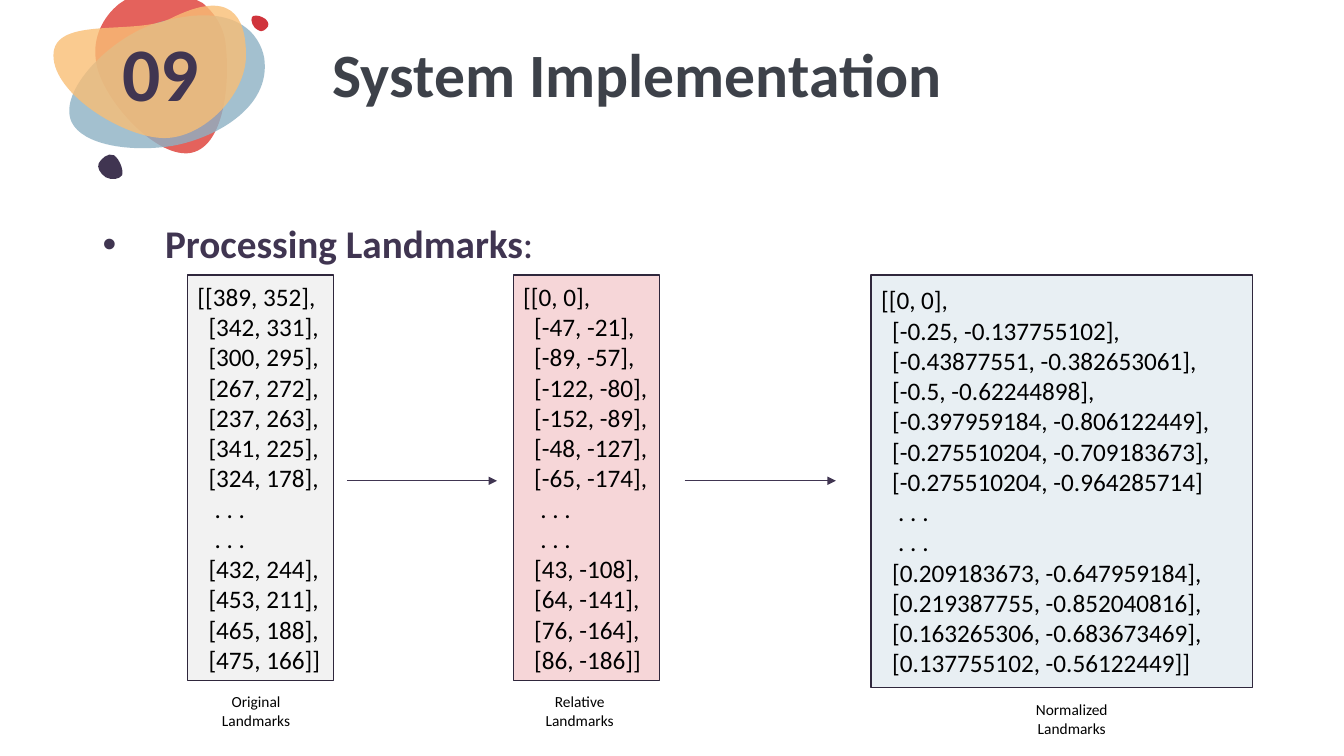
import pptx
import pptx.util
import pptx.dml.color
import pptx.enum.shapes
import pptx.enum.text
import pptx.oxml
import pptx.oxml.ns
from dataclasses import dataclass
from lxml import etree
from pptx.util import Inches


@dataclass(frozen=True)
class Theme:
    font: str = "Calibri"
    title: str = "3D4149"
    accent: str = "403551"
    text: str = "000000"
    border: str = "2F273C"
    coral: str = "E4625C"
    blue: str = "8DB1C4"
    amber: str = "F9BE75"
    red: str = "D0343C"
    grey_panel: str = "F2F2F2"
    pink_panel: str = "F6D6D8"
    blue_panel: str = "E8EFF3"
    title_size: int = 44
    number_size: int = 54
    heading_size: int = 28
    data_size: int = 18
    caption_size: int = 11


theme = Theme()
rgb = pptx.dml.color.RGBColor.from_string
qn = pptx.oxml.ns.qn
align = pptx.enum.text.PP_ALIGN
anchor = pptx.enum.text.MSO_ANCHOR

presentation = pptx.Presentation()
presentation.slide_width = Inches(13.33)
presentation.slide_height = Inches(7.5)
slide = presentation.slides.add_slide(presentation.slide_layouts[6])
shapes = slide.shapes


def add_run(paragraph, text, size, color, bold=False):
    run = paragraph.add_run()
    run.text = text
    run.font.name = theme.font
    run.font.size = pptx.util.Pt(size)
    run.font.bold = bold
    run.font.color.rgb = rgb(color)


def add_text_box(left, top, width, height, middle=False, wrap=True):
    frame = shapes.add_textbox(Inches(left), Inches(top), Inches(width), Inches(height)).text_frame
    frame.word_wrap = wrap
    frame.vertical_anchor = anchor.MIDDLE if middle else anchor.TOP
    return frame


blobs = [
    (theme.coral, 100, (0.94, 0, 1.31, 1.52), (1.24, 0), [
        (1.95, 0), (2.01, 0.03),
        (2.14, 0.14, 2.23, 0.29, 2.24, 0.46), (2.28, 0.81, 2.23, 1.48, 1.87, 1.52),
        (1.51, 1.55, 0.98, 0.94, 0.95, 0.59), (0.92, 0.37, 1.02, 0.17, 1.18, 0.04)]),
    (theme.blue, 80, (0.69, 0.15, 1.94, 1.32), (0.71, 1.21), [
        (0.82, 1.44, 1.29, 1.51, 1.69, 1.45), (2.08, 1.39, 2.7, 1.09, 2.62, 0.57),
        (2.58, 0.36, 2.36, -0.01, 1.55, 0.23), (1.1, 0.37, 0.57, 0.9, 0.71, 1.21)]),
    (theme.amber, 80, (0.53, 0.06, 1.91, 1.31), (0.53, 0.55), [
        (0.53, 0.94, 1.24, 1.37, 1.63, 1.37), (2.02, 1.37, 2.44, 0.94, 2.44, 0.55),
        (2.44, 0.15, 2.28, -0.11, 1.7, 0.18), (1.35, 0.36, 0.53, 0.15, 0.53, 0.55)]),
    (theme.accent, 100, (0.97, 1.53, 0.24, 0.24), (1.21, 1.74), [
        (1.23, 1.7, 1.19, 1.58, 1.13, 1.54), (1.07, 1.51, 1, 1.58, 0.98, 1.62),
        (0.96, 1.66, 0.99, 1.72, 1.05, 1.76), (1.11, 1.79, 1.18, 1.78, 1.21, 1.74)]),
    (theme.red, 100, (2.49, 0.15, 0.16, 0.16), (2.5, 0.17), [
        (2.48, 0.2, 2.51, 0.28, 2.56, 0.3), (2.6, 0.33, 2.64, 0.29, 2.66, 0.26),
        (2.67, 0.23, 2.65, 0.19, 2.6, 0.17), (2.56, 0.15, 2.51, 0.15, 2.5, 0.17)]),
]
for color, opacity, box, start, segments in blobs:
    builder = shapes.build_freeform(Inches(start[0]), Inches(start[1]))
    builder.add_line_segments([(Inches(s[-2]), Inches(s[-1])) for s in segments], close=True)
    blob = builder.convert_to_shape()
    blob.left, blob.top, blob.width, blob.height = map(Inches, box)
    outline = next(blob._element.iter(qn("a:path")))
    outline.set("w", str(blob.width))
    outline.set("h", str(blob.height))
    for command, coordinates in zip(list(outline), [start] + segments):
        if len(coordinates) == 6:
            command.tag = qn("a:cubicBezTo")
        for point in list(command):
            command.remove(point)
        for x, y in zip(coordinates[::2], coordinates[1::2]):
            point = etree.SubElement(command, qn("a:pt"))
            point.set("x", str(Inches(x) - blob.left))
            point.set("y", str(Inches(y) - blob.top))
    blob.shadow.inherit = False
    blob.line.fill.background()
    blob.fill.solid()
    blob.fill.fore_color.rgb = rgb(color)
    if opacity < 100:
        fill_color = next(blob._element.spPr.iter(qn("a:srgbClr")))
        etree.SubElement(fill_color, qn("a:alpha")).set("val", str(opacity * 1000))

title = add_text_box(3.2, 0.15, 9.22, 1.24, middle=True).paragraphs[0]
title.line_spacing = 0.9
add_run(title, "System Implementation", theme.title_size, theme.title, True)

heading = add_text_box(0.92, 2.18, 11.5, 0.55).paragraphs[0]
heading.alignment = align.JUSTIFY
add_run(heading, "Processing Landmarks", theme.heading_size, theme.accent, True)
add_run(heading, ":", theme.heading_size, theme.accent)

number = add_text_box(0.96, 0.15, 1.27, 1.23, middle=True).paragraphs[0]
number.alignment = align.CENTER
add_run(number, "09", theme.number_size, theme.accent, True)

for paragraph in (heading, number):
    paragraph.line_spacing = 0.9
    paragraph.space_before = pptx.util.Pt(10)
    paragraph.space_after = pptx.util.Pt(12)

properties = heading._p.get_or_add_pPr()
properties.set("marL", str(Inches(0.62)))
properties.set("indent", str(-Inches(0.62)))
etree.SubElement(properties, qn("a:buFont")).set("typeface", "Arial")
etree.SubElement(properties, qn("a:buChar")).set("char", "•")

panels = [
    (5.09, 1.45, 4.02, theme.pink_panel, [
        "[[0, 0],", "[-47, -21],", "[-89, -57],", "[-122, -80],", "[-152, -89],",
        "[-48, -127],", "[-65, -174],", ". . .", ". . .",
        "[43, -108],", "[64, -141],", "[76, -164],", "[86, -186]]"]),
    (1.86, 1.45, 4.02, theme.grey_panel, [
        "[[389, 352],", "[342, 331],", "[300, 295],", "[267, 272],", "[237, 263],",
        "[341, 225],", "[324, 178],", ". . .", ". . .",
        "[432, 244],", "[453, 211],", "[465, 188],", "[475, 166]]"]),
    (8.64, 3.78, 4.09, theme.blue_panel, [
        "[[0, 0],", "[-0.25, -0.137755102],", "[-0.43877551, -0.382653061],",
        "[-0.5, -0.62244898],", "[-0.397959184, -0.806122449],",
        "[-0.275510204, -0.709183673],", "[-0.275510204, -0.964285714]", ". . .", ". . .",
        "[0.209183673, -0.647959184],", "[0.219387755, -0.852040816],",
        "[0.163265306, -0.683673469],", "[0.137755102, -0.56122449]]"]),
]
for left, width, height, color, rows in panels:
    panel = shapes.add_shape(pptx.enum.shapes.MSO_SHAPE.RECTANGLE,
                             Inches(left), Inches(2.73), Inches(width), Inches(height))
    panel.shadow.inherit = False
    panel.fill.solid()
    panel.fill.fore_color.rgb = rgb(color)
    panel.line.color.rgb = rgb(theme.border)
    panel.line.width = pptx.util.Pt(1)
    frame = panel.text_frame
    frame.word_wrap = True
    frame.vertical_anchor = anchor.MIDDLE
    for index, row in enumerate(rows):
        paragraph = frame.add_paragraph() if index else frame.paragraphs[0]
        paragraph.alignment = align.LEFT
        indent = 0 if index == 0 else 0.17 if row == ". . ." else 0.11
        paragraph._p.get_or_add_pPr().set("marL", str(Inches(indent)))
        add_run(paragraph, row, theme.data_size, theme.text)

for arrow_start, arrow_end in ((3.44, 4.93), (6.79, 8.29)):
    arrow = shapes.add_connector(pptx.enum.shapes.MSO_CONNECTOR.STRAIGHT, Inches(arrow_start),
                                 Inches(4.77), Inches(arrow_end), Inches(4.77))
    arrow.line.color.rgb = rgb(theme.accent)
    arrow.line.width = pptx.util.Pt(0.5)
    etree.SubElement(arrow.line._ln, qn("a:tailEnd")).set("type", "triangle")
    etree.SubElement(arrow._element.spPr, qn("a:effectLst"))

captions = [("Original", 2.1, 6.82, 0.88), ("Relative", 5.31, 6.82, 0.88),
            ("Normalized", 10.17, 6.9, 0.92)]
for name, left, top, width in captions:
    caption = add_text_box(left, top, width, 0.47, wrap=False)
    caption.auto_size = pptx.enum.text.MSO_AUTO_SIZE.SHAPE_TO_FIT_TEXT
    for index, word in enumerate((name, "Landmarks")):
        paragraph = caption.add_paragraph() if index else caption.paragraphs[0]
        paragraph.alignment = align.CENTER
        add_run(paragraph, word, theme.caption_size, theme.text)

presentation.save("out.pptx")
